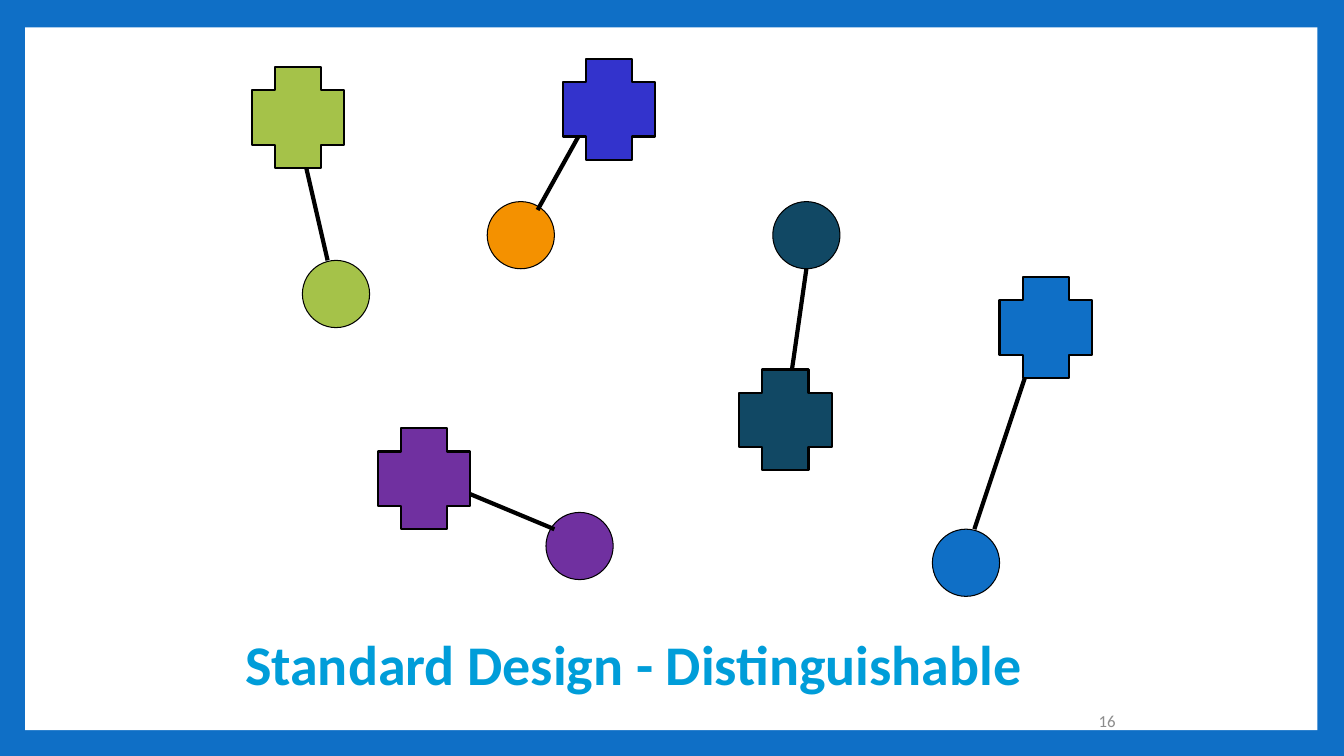
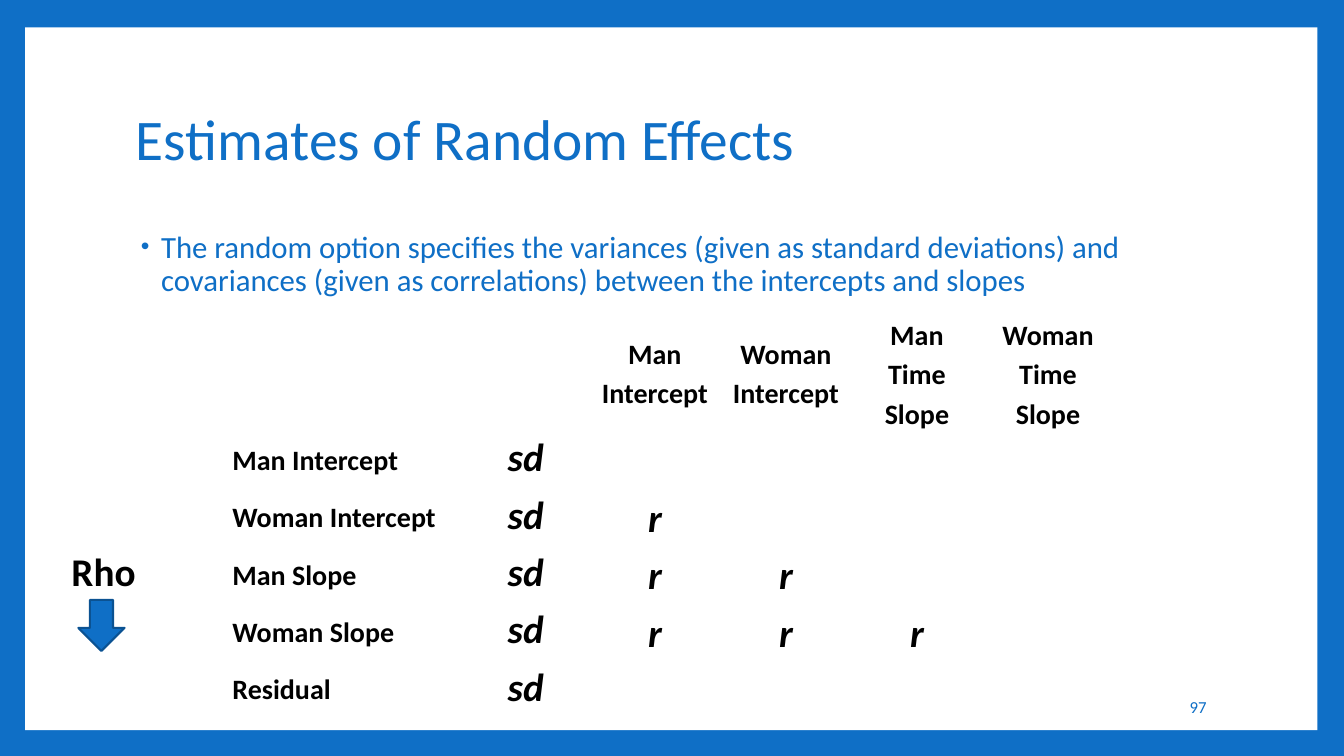
"""Build two slides on standard dyadic design and random effects."""
import pptx
import pptx.dml.color
import pptx.enum.shapes
import pptx.enum.text
import pptx.oxml
import pptx.oxml.ns
import pptx.util

Pt = pptx.util.Pt
SHAPE = pptx.enum.shapes.MSO_SHAPE
ALIGN = pptx.enum.text.PP_ALIGN
ANCHOR = pptx.enum.text.MSO_ANCHOR
FONT = "Calibri"
COLORS = {
    "blue": "0F6FC6", "navy": "114864", "indigo": "3333CC", "green": "A5C249",
    "orange": "F49100", "purple": "7030A0", "sky": "009DD9", "edge": "0B5292",
    "gray": "8C8C8C", "black": "000000", "white": "FFFFFF",
}

FRAME = (18, 19.5, 923, 502)
CIRCLE_SIZE, PLUS_SIZE = (48, 48), (66, 72)
PAIRS = [
    {"circle": (348, 144, "orange"), "plus": (402, 42, "indigo"), "link": (414, 96, 384, 150)},
    {"circle": (552, 144, "navy"), "plus": (528, 264, "navy"), "link": (576, 192, 564, 276)},
    {"circle": (390, 366, "purple"), "plus": (270, 306, "purple"), "link": (324, 348, 396, 378)},
    {"circle": (216, 186, "green"), "plus": (180, 48, "green"), "link": (216, 108, 234, 186)},
    {"circle": (666, 378, "blue"), "plus": (714, 198, "blue"), "link": (738, 252, 696, 378)},
]

BULLET = ("The random option specifies the variances (given as standard deviations) "
          "and covariances (given as correlations) between the intercepts and slopes")
HEADERS = [["Man", "Intercept"], ["Woman", "Intercept"],
           ["Man", "Time Slope"], ["Woman", "Time Slope"]]
ROWS = [("Man Intercept", 0), ("Woman Intercept", 1), ("Man Slope", 2),
        ("Woman Slope", 3), ("Residual", 0)]
COL_WIDTHS = [169, 91] + [93.6] * len(HEADERS)
ROW_HEIGHTS = [81.5] + [41] * len(ROWS)

TITLE = {"size": 41, "color": "blue", "spacing": 0.9, "anchor": ANCHOR.MIDDLE}
NUMBER = {"size": 12, "align": ALIGN.RIGHT, "anchor": ANCHOR.MIDDLE}
LABEL = {"size": 20, "bold": True, "spacing": 1.15}
HEADER = {**LABEL, "align": ALIGN.CENTER}
SD = {"size": 28, "bold": True, "italic": True, "align": ALIGN.CENTER}
CORRELATION = {**SD, "spacing": 1.15}


def rgb(name):
    return pptx.dml.color.RGBColor.from_string(COLORS[name])


def write(tf, lines, style):
    for i, line in enumerate(lines):
        p = tf.paragraphs[0] if i == 0 else tf.add_paragraph()
        p.alignment = style.get("align", ALIGN.LEFT)
        p.line_spacing = style.get("spacing", 1.0)
        r = p.add_run()
        r.text = line
        font = {"name": FONT, "size": Pt(style["size"]),
                "bold": style.get("bold", False), "italic": style.get("italic", False)}
        for key, value in font.items():
            setattr(r.font, key, value)
        r.font.color.rgb = rgb(style.get("color", "black"))


def add_text(s, box, text, style):
    tf = s.shapes.add_textbox(*map(Pt, box)).text_frame
    tf.word_wrap = style.get("wrap", True)
    tf.vertical_anchor = style.get("anchor", ANCHOR.TOP)
    write(tf, [text], style)
    return tf


def add_shape(s, kind, box, fill, line=None, width=0.75):
    sp = s.shapes.add_shape(kind, *map(Pt, box))
    sp.shadow.inherit = False
    sp.fill.solid()
    sp.fill.fore_color.rgb = rgb(fill)
    if line:
        sp.line.color.rgb = rgb(line)
        sp.line.width = Pt(width)
    else:
        sp.line.fill.background()


def add_link(s, ends):
    c = s.shapes.add_connector(pptx.enum.shapes.MSO_CONNECTOR.STRAIGHT, *map(Pt, ends))
    c.line.color.rgb = rgb("black")
    c.line.width = Pt(3)
    c._element.spPr.append(pptx.oxml.parse_xml(
        "<a:effectLst %s/>" % pptx.oxml.ns.nsdecls("a")))


def add_bullet(p):
    pPr = p._p.get_or_add_pPr()
    pPr.set("marL", str(Pt(18)))
    pPr.set("indent", str(-Pt(14.4)))
    ns = pptx.oxml.ns.nsdecls("a")
    for xml in ('<a:buClr %s><a:srgbClr val="' + COLORS["blue"] + '"/></a:buClr>',
                '<a:buSzPct %s val="80000"/>', '<a:buFont %s typeface="Arial"/>',
                '<a:buChar %s char="•"/>'):
        pPr.append(pptx.oxml.parse_xml(xml % ns))


def add_slide(prs):
    s = prs.slides.add_slide(prs.slide_layouts[6])
    s.background.fill.solid()
    s.background.fill.fore_color.rgb = rgb("blue")
    add_shape(s, SHAPE.RECTANGLE, FRAME, "white")
    return s


def add_design(prs):
    s = add_slide(prs)
    for pair in PAIRS:
        x, y, color = pair["circle"]
        add_shape(s, SHAPE.OVAL, (x, y, *CIRCLE_SIZE), color, "black")
    for pair in PAIRS:
        add_link(s, pair["link"])
    for pair in PAIRS:
        x, y, color = pair["plus"]
        add_shape(s, SHAPE.CROSS, (x, y, *PLUS_SIZE), color, "black", 1.5)
    add_text(s, (168, 432, 612, 90), "Standard Design - Distinguishable",
             {**TITLE, "size": 40, "color": "sky", "bold": True})
    add_text(s, (636, 500.5, 168, 28.8), "16", {**NUMBER, "color": "gray"})


def add_estimates_table(s):
    cells = {(0, c): (lines, HEADER) for c, lines in enumerate(HEADERS, 2)}
    for i, (label, correlations) in enumerate(ROWS, 1):
        cells[i, 0] = ([label], LABEL)
        cells[i, 1] = (["sd"], SD)
        for c in range(2, 2 + correlations):
            cells[i, c] = (["r"], CORRELATION)
    table = s.shapes.add_table(len(ROW_HEIGHTS), len(COL_WIDTHS), Pt(161), Pt(224),
                               Pt(sum(COL_WIDTHS)), Pt(sum(ROW_HEIGHTS))).table
    table.first_row = table.horz_banding = False
    for column, width in zip(table.columns, COL_WIDTHS):
        column.width = Pt(width)
    for i, height in enumerate(ROW_HEIGHTS):
        table.rows[i].height = Pt(height)
        for c in range(len(COL_WIDTHS)):
            cell = table.cell(i, c)
            cell.fill.background()
            cell.vertical_anchor = ANCHOR.MIDDLE
            cell.margin_left = cell.margin_right = Pt(5)
            cell.margin_top = cell.margin_bottom = 0
            if (i, c) in cells:
                write(cell.text_frame, *cells[i, c])


def add_estimates(prs):
    s = add_slide(prs)
    tf = add_text(s, (90, 162, 777.5, 318), BULLET,
                  {"size": 22, "color": "blue", "spacing": 0.9})
    add_bullet(tf.paragraphs[0])
    add_text(s, (90, 48, 777.5, 106.5), "Estimates of Random Effects", TITLE)
    add_estimates_table(s)
    add_text(s, (734.5, 490.5, 134.5, 28.8), "97", {**NUMBER, "color": "blue"})
    add_text(s, (44, 387.5, 64, 41), "Rho", {"size": 28, "bold": True, "wrap": False})
    add_shape(s, SHAPE.DOWN_ARROW, (56, 428.5, 33, 36.5), "blue", "edge", 1.5)


def main():
    prs = pptx.Presentation()
    prs.slide_width, prs.slide_height = Pt(960), Pt(540)
    add_design(prs)
    add_estimates(prs)
    prs.save("out.pptx")


if __name__ == "__main__":
    main()
